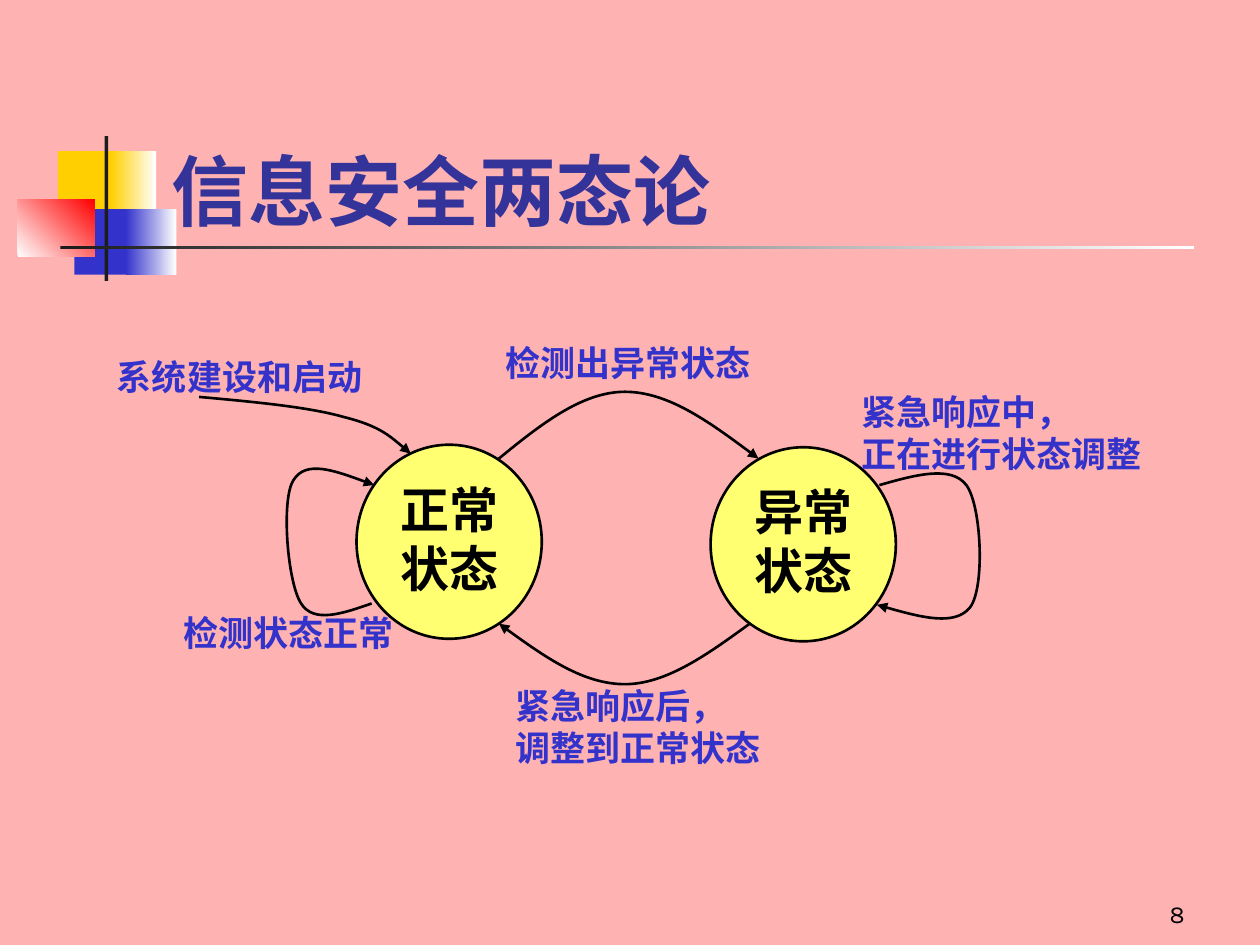
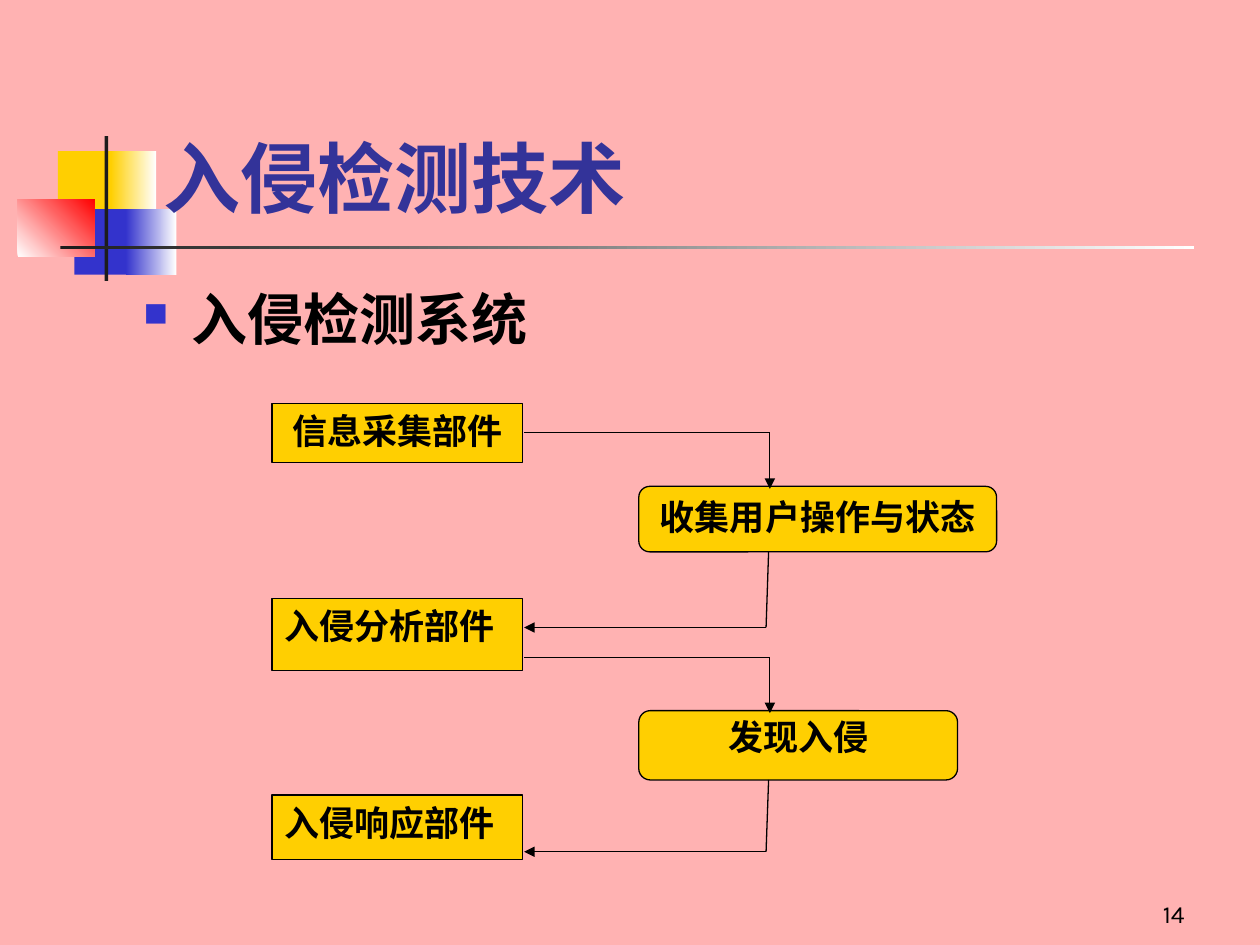
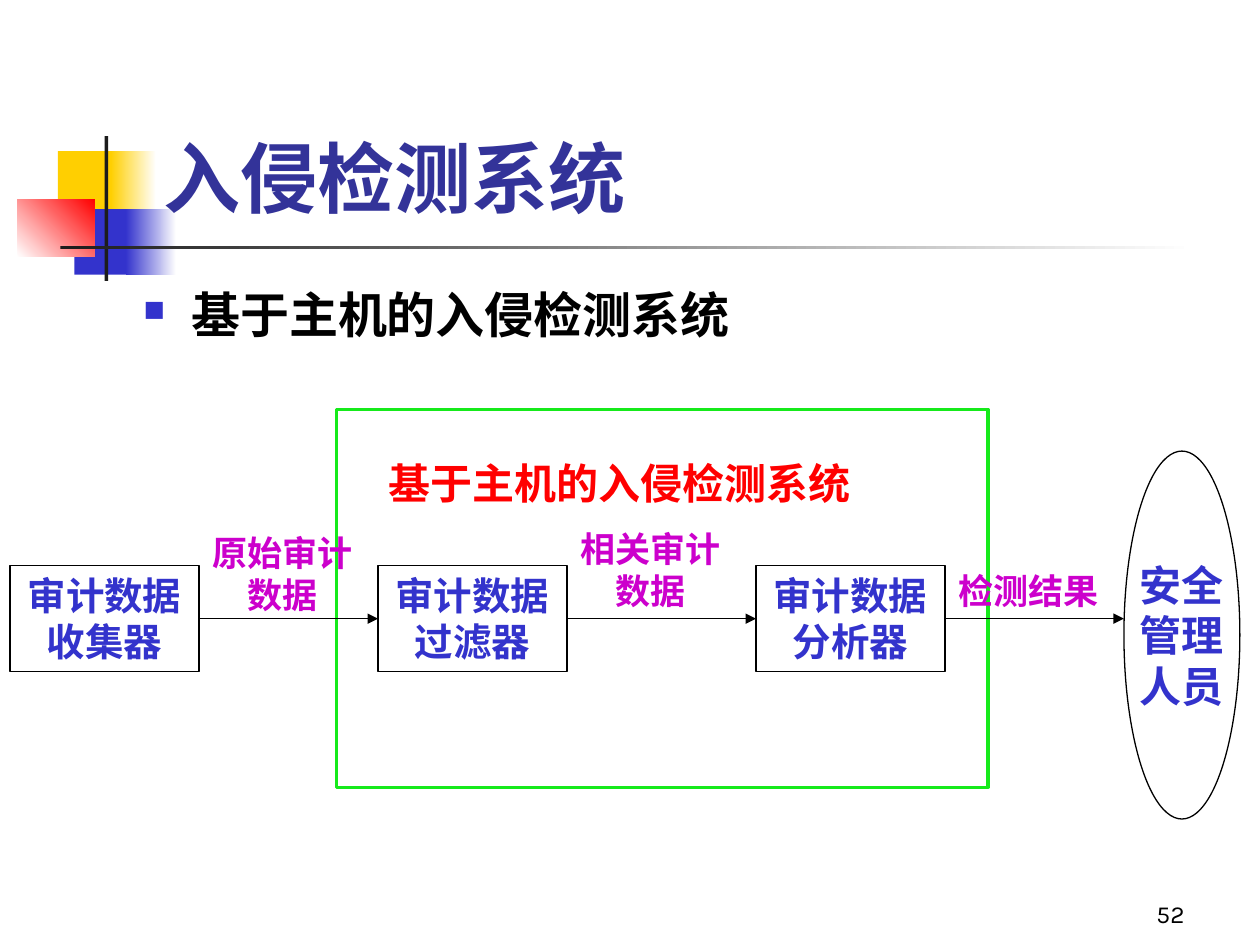
"""Build three slides on security states and intrusion detection."""
from dataclasses import dataclass

from lxml import etree
from pptx import Presentation
from pptx import util as u
from pptx.dml.color import RGBColor
from pptx.enum import shapes, text
from pptx.oxml import ns


@dataclass(frozen=True)
class Theme:
    pink: str = "FFB2B2"
    white: str = "FFFFFF"
    black: str = "000000"
    ink: str = "1C1C1C"
    gold: str = "FFCF01"
    blue: str = "3333CC"
    navy: str = "333399"
    red: str = "FF0000"
    yellow: str = "FFFF71"
    green: str = "16EA1B"
    purple: str = "CC00CC"
    sans: str = "Karla"
    serif: str = "Times New Roman"
    chinese: str = "Noto Sans CJK SC"
    title: int = 44
    topic: int = 32
    state: int = 28
    heading: int = 24
    stage: int = 22
    label: int = 20
    number: int = 14
    thin: float = 0.75
    medium: float = 1.5
    thick: float = 2


THEME = Theme()
COLUMNS, ROWS = 10, 7.5
KIND = shapes.MSO_SHAPE
ALIGN = text.PP_ALIGN
ANCHOR = text.MSO_ANCHOR


def cells(*lengths):
    return [u.Inches(length) for length in lengths]


def colour(value):
    return RGBColor.from_string(value)


def write(frame, words, size, font=THEME.serif, color=THEME.black, bold=True,
          align=ALIGN.LEFT, anchor=ANCHOR.TOP, wrap=True, spacing=None, bullet=False):
    frame.auto_size = text.MSO_AUTO_SIZE.NONE
    frame.word_wrap = wrap
    frame.vertical_anchor = anchor
    frame.margin_left = frame.margin_right = u.Inches(0.1)
    frame.margin_top = frame.margin_bottom = u.Inches(0.05)
    for index, line in enumerate(words.split("\n")):
        para = frame.add_paragraph() if index else frame.paragraphs[0]
        if bullet:
            add_bullet(para)
        para.alignment = align
        para.line_spacing = spacing
        para.space_before = u.Pt(0)
        span = para.add_run()
        span.text = line
        span.font.name = font
        span.font.size = u.Pt(size)
        span.font.bold = bold
        span.font.color.rgb = colour(color)


def add_bullet(para):
    props = para._p.get_or_add_pPr()
    indent = u.Inches(0.38)
    props.set("marL", str(indent))
    props.set("indent", str(-indent))
    tint = etree.SubElement(props, ns.qn("a:buClr"))
    etree.SubElement(tint, ns.qn("a:srgbClr"), val=THEME.blue)
    etree.SubElement(props, ns.qn("a:buSzPct"), val="60000")
    etree.SubElement(props, ns.qn("a:buChar"), char="■")


def add_label(page, place, words, size=THEME.label, **style):
    box = page.shapes.add_textbox(*cells(*place))
    write(box.text_frame, words, size, **style)


def stroke(line, width, arrow=False):
    line.color.rgb = colour(THEME.black)
    line.width = u.Pt(width)
    if arrow:
        etree.SubElement(line._get_or_add_ln(), ns.qn("a:tailEnd"), type="triangle")


def add_box(page, place, kind=KIND.RECTANGLE, fill=None, line=None, width=THEME.thin):
    box = page.shapes.add_shape(kind, *cells(*place))
    box.shadow.inherit = False
    if fill:
        box.fill.solid()
        box.fill.fore_color.rgb = colour(fill)
    else:
        box.fill.background()
    if line:
        box.line.color.rgb = colour(line)
        box.line.width = u.Pt(width)
    else:
        box.line.fill.background()
    return box


def add_fade(page, place, start, end, angle=0):
    box = add_box(page, place)
    box.fill.gradient()
    box.fill.gradient_angle = angle
    for stop, value in zip(box.fill.gradient_stops, (start, end)):
        stop.color.rgb = colour(value)


def add_line(page, start, end, arrow=False):
    line = page.shapes.add_connector(shapes.MSO_CONNECTOR.STRAIGHT, *cells(*start, *end))
    stroke(line.line, THEME.thin, arrow)
    etree.SubElement(line._element.spPr, ns.qn("a:effectLst"))


def add_curve(page, *points):
    """Draw a Bezier arrow: a start, then two handles and an end for each bend."""
    start, *rest = [(100 * x, 100 * y) for x, y in points]
    builder = page.shapes.build_freeform(*start, scale=u.Inches(1) / 100)
    builder.add_line_segments(rest, close=False)
    curve = builder.convert_to_shape()
    curve.shadow.inherit = False
    curve.fill.background()
    stroke(curve.line, THEME.medium, arrow=True)
    outline = curve._element.find(".//" + ns.qn("a:path"))
    segments = outline.findall(ns.qn("a:lnTo"))
    for first in range(0, len(segments), 3):
        bend = etree.SubElement(outline, ns.qn("a:cubicBezTo"))
        for segment in segments[first:first + 3]:
            bend.append(segment[0])
            outline.remove(segment)


def move_motif_to_layout(page):
    before = len(page.shapes)
    add_box(page, (0.46, 1.2, 0.48, 0.52), fill=THEME.gold)
    add_fade(page, (0.88, 1.2, 0.36, 0.52), THEME.gold, THEME.white)
    add_box(page, (0.59, 1.66, 0.46, 0.52), fill=THEME.blue)
    add_fade(page, (1, 1.66, 0.4, 0.52), THEME.blue, THEME.white)
    add_fade(page, (0.14, 1.58, 0.61, 0.46), THEME.white, THEME.red, angle=45)
    add_box(page, (0.83, 1.08, 0.03, 1.15), fill=THEME.ink)
    add_fade(page, (0.48, 1.95, 9, 0.03), THEME.ink, THEME.white)
    for part in list(page.shapes)[before:]:
        page.slide_layout.shapes._spTree.append(part._element)


def add_page(deck, title, number, background, place=(1.2, 0.97, 7.72, 0.87),
             font=THEME.chinese, anchor=ANCHOR.MIDDLE):
    page = deck.slides.add_slide(deck.slide_layouts.get_by_name("Title Only"))
    page.background.fill.solid()
    page.background.fill.fore_color.rgb = colour(background)
    heading = page.shapes.title
    heading.left, heading.top, heading.width, heading.height = cells(*place)
    write(heading.text_frame, title, THEME.title, font=font, color=THEME.navy, anchor=anchor)
    add_label(page, (7.42, 6.92, 2.08, 0.5), number, THEME.number, font=THEME.sans,
              bold=False, align=ALIGN.RIGHT, anchor=ANCHOR.BOTTOM)
    return page


def add_topic(page, words, size, height):
    add_label(page, (1.04, 2.21, 8.13, height), words, size, font=THEME.chinese, bullet=True)


def build_states(deck):
    page = add_page(deck, "信息安全两态论", "8", THEME.pink, place=(1.26, 0.67, 8.52, 1.25),
                    font=THEME.sans, anchor=ANCHOR.BOTTOM)
    move_motif_to_layout(page)
    for left, top, name in ((2.83, 3.53, "正常\n状态"), (5.64, 3.55, "异常\n状态")):
        state = add_box(page, (left, top, 1.47, 1.54), KIND.OVAL, THEME.yellow,
                        THEME.black, THEME.medium)
        write(state.text_frame, name, THEME.state, align=ALIGN.CENTER)
    add_curve(page, (3.96, 3.64), (4.29, 3.37), (4.62, 3.11), (4.96, 3.11),
              (5.3, 3.11), (5.66, 3.37), (6.02, 3.64))
    add_curve(page, (5.95, 4.95), (5.62, 5.19), (5.29, 5.43), (4.96, 5.43),
              (4.63, 5.43), (4.29, 5.19), (3.96, 4.95))
    add_curve(page, (6.98, 3.85), (7.26, 3.77), (7.55, 3.69), (7.67, 3.85),
              (7.79, 4.01), (7.82, 4.66), (7.7, 4.82), (7.58, 4.97), (7.27, 4.89), (6.96, 4.8))
    add_curve(page, (2.95, 4.79), (2.72, 4.87), (2.49, 4.95), (2.39, 4.79),
              (2.28, 4.62), (2.23, 3.96), (2.33, 3.81), (2.43, 3.65), (2.7, 3.75), (2.97, 3.85))
    add_curve(page, (1.58, 3.15), (2.02, 3.19), (2.45, 3.23), (2.73, 3.31),
              (3.01, 3.38), (3.13, 3.49), (3.26, 3.6))
    transitions = (
        ((3.91, 2.66, 2.45, 0.52), "检测出异常状态"),
        ((3.99, 5.38, 2.3, 0.81), "紧急响应后，\n调整到正常状态"),
        ((6.74, 3.05, 2.76, 0.81), "紧急响应中，\n正在进行状态调整"),
        ((1.36, 4.8, 2.01, 0.52), "检测状态正常"),
        ((0.83, 2.77, 2.9, 0.52), "系统建设和启动"),
    )
    for place, words in transitions:
        add_label(page, place, words, color=THEME.blue, align=ALIGN.JUSTIFY)


def build_components(deck):
    page = add_page(deck, "入侵检测技术", "14", THEME.pink)
    add_topic(page, "入侵检测系统", THEME.topic, 4.84)
    components = (
        (3.2, 0.47, "信息采集部件", ALIGN.CENTER),
        (4.75, 0.57, "入侵分析部件", ALIGN.LEFT),
        (6.31, 0.51, "入侵响应部件", ALIGN.LEFT),
    )
    for top, height, name, align in components:
        component = add_box(page, (2.16, top, 1.99, height), fill=THEME.gold, line=THEME.black)
        write(component.text_frame, name, THEME.label, align=align)
    results = (
        (3.86, 2.84, 0.52, "收集用户操作与状态", None, 3.43, 4.98),
        (5.64, 2.53, 0.55, "发现入侵", 0.9, 5.22, 6.76),
    )
    edge, down, back = 4.16, 6.11, 6.08
    for top, width, height, name, spacing, leave, arrive in results:
        result = add_box(page, (5.07, top, width, height), KIND.ROUNDED_RECTANGLE,
                         THEME.gold, THEME.black)
        write(result.text_frame, name, THEME.label, align=ALIGN.CENTER, spacing=spacing)
        add_line(page, (edge, leave), (down, leave))
        add_line(page, (down, leave), (down, top + 0.02), arrow=True)
        add_line(page, (6.1, top + height), (back, arrive))
        add_line(page, (back, arrive), (edge, arrive), arrow=True)


def build_host_system(deck):
    page = add_page(deck, "入侵检测系统", "52", THEME.white)
    add_box(page, (2.67, 3.25, 5.17, 3), line=THEME.green, width=THEME.thick)
    add_topic(page, "基于主机的入侵检测系统", THEME.state, 0.79)
    add_label(page, (2.92, 3.58, 4, 0.5), "基于主机的入侵检测系统", THEME.heading,
              font=THEME.sans, color=THEME.red, align=ALIGN.CENTER)
    width, axis, manager_left = 1.5, 4.91, 8.92
    stages = (
        (0.08, "审计数据收集器", 4.17, 0.77, "原始审计数据"),
        (3, "审计数据过滤器", 4.14, 0.77, "相关审计数据"),
        (6, "审计数据分析器", 4.47, 0.44, "检测结果"),
    )
    targets = [stage[0] for stage in stages[1:]] + [manager_left]
    for (left, name, top, height, flow), target in zip(stages, targets):
        right = left + width
        stage = add_box(page, (left, 4.49, width, 0.84), line=THEME.black)
        write(stage.text_frame, name, THEME.stage, font=THEME.sans, color=THEME.blue,
              align=ALIGN.CENTER)
        add_line(page, (right, axis), (target, axis), arrow=True)
        add_label(page, (right, top, 1.33, height), flow, font=THEME.sans,
                  color=THEME.purple, align=ALIGN.CENTER)
    manager = add_box(page, (manager_left, 3.58, 0.92, 2.92), KIND.OVAL, line=THEME.black)
    write(manager.text_frame, "安全\n管理\n人员", THEME.heading, font=THEME.sans,
          color=THEME.blue, align=ALIGN.CENTER, anchor=ANCHOR.MIDDLE, wrap=False)


def main():
    deck = Presentation()
    deck.slide_width, deck.slide_height = cells(COLUMNS, ROWS)
    build_states(deck)
    build_components(deck)
    build_host_system(deck)
    deck.save("out.pptx")


if __name__ == "__main__":
    main()
